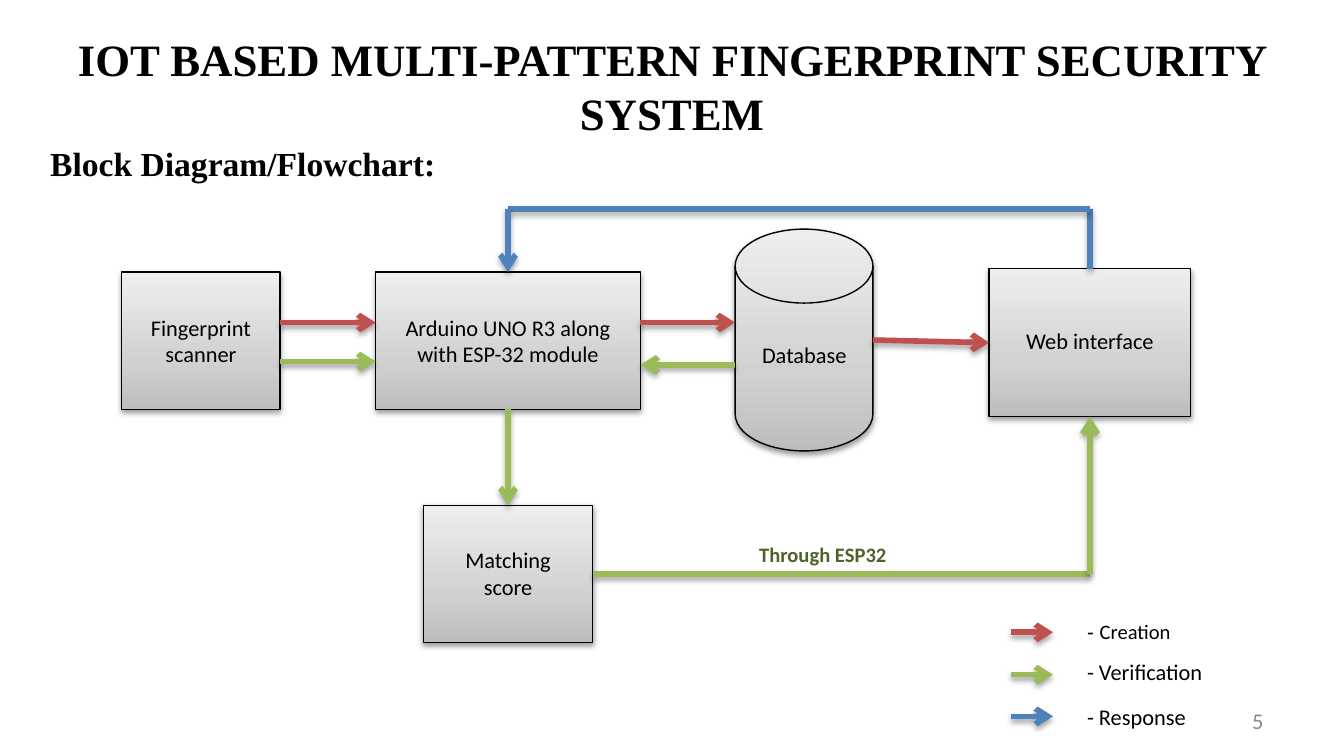
from copy import deepcopy
from lxml.etree import SubElement
from pptx import Presentation
from pptx.dml.color import RGBColor
from pptx.enum.shapes import MSO_CONNECTOR, MSO_SHAPE
from pptx.enum.text import MSO_ANCHOR, PP_ALIGN
from pptx.oxml.ns import qn
from pptx.util import Emu, Pt

RED, GREEN, BLUE, BLACK = "C0504D", "9BBB59", "4F81BD", "000000"
SERIF = "Times New Roman"
STOPS = [(0, "BDBDBD"), (0.35, "D1D1D1"), (1, "EEEEEE")]


def px(n):
    """Turn px, at 200 to the inch, into EMU."""
    return Emu(n * 4572)


def color(code):
    """Turn a hex string into a colour."""
    return RGBColor.from_string(code)


class Board:
    """Hold the style and the current slide."""

    def __init__(self, slide, font="Calibri", size=12):
        """Keep the slide with its default font and size."""
        self.shapes = slide.shapes
        self.font, self.size = font, size

    def shade(self, item, dist, alpha):
        """Give an item a soft shadow that falls straight down."""
        props = item._element.spPr
        effects = props.find(qn("a:effectLst"))
        if effects is None:
            effects = SubElement(props, qn("a:effectLst"))
        outer = SubElement(effects, qn("a:outerShdw"), blurRad=str(Pt(3.1)),
                           dist=str(Pt(dist)), dir="5400000", rotWithShape="0")
        tone = SubElement(outer, qn("a:srgbClr"), val=BLACK)
        SubElement(tone, qn("a:alpha"), val=str(alpha * 1000))

    def text(self, area, *runs, size=None, font=None, ink=BLACK, bold=False,
             align=PP_ALIGN.LEFT, anchor=MSO_ANCHOR.TOP):
        """Write one paragraph; a run is a string or a (string, font) pair."""
        frame = self.shapes.add_textbox(*map(px, area)).text_frame
        frame.word_wrap = True
        frame.vertical_anchor = anchor
        para = frame.paragraphs[0]
        para.alignment = align
        for part in runs:
            words, face = (part, font) if isinstance(part, str) else part
            run = para.add_run()
            run.text = words
            run.font.name = face or self.font
            run.font.size = Pt(size or self.size)
            run.font.bold = bold
            run.font.color.rgb = color(ink)

    def block(self, kind, area, words, label):
        """Draw a grey block with its centred label."""
        shape = self.shapes.add_shape(kind, *map(px, area))
        shape.shadow.inherit = False
        fill = shape.fill
        fill.gradient()
        fill.gradient_angle = 90
        stops = shape._element.spPr.find(qn("a:gradFill")).find(qn("a:gsLst"))
        stops.append(deepcopy(stops[0]))
        for stop, (place, code) in zip(fill.gradient_stops, STOPS):
            stop.position = place
            stop.color.rgb = color(code)
        shape.line.color.rgb = color(BLACK)
        shape.line.width = Pt(0.75)
        self.shade(shape, 1.6, 38)
        self.text(label, words, align=PP_ALIGN.CENTER)

    def route(self, code, *points):
        """Join points with lines, the last one ending in an arrowhead."""
        for start, end in zip(points, points[1:]):
            line = self.shapes.add_connector(
                MSO_CONNECTOR.STRAIGHT, *map(px, start + end))
            line.line.color.rgb = color(code)
            line.line.width = Pt(3)
            self.shade(line, 1.8, 35)
        SubElement(line.line._get_or_add_ln(), qn("a:tailEnd"), type="arrow")


def main():
    """Build the slide and save it."""
    deck = Presentation()
    deck.slide_width, deck.slide_height = px(2000), px(1125)
    board = Board(deck.slides.add_slide(deck.slide_layouts[6]))

    board.text((24, 38, 1952, 160),
               "IOT BASED MULTI-PATTERN FINGERPRINT SECURITY SYSTEM",
               size=24, font=SERIF, bold=True, align=PP_ALIGN.CENTER)
    board.text((55, 203, 1890, 80), "Block Diagram/Flowchart:",
               size=18, font=SERIF, bold=True)
    board.text((1434, 1043, 466, 60), "5", ink="898989",
               align=PP_ALIGN.RIGHT, anchor=MSO_ANCHOR.MIDDLE)

    rect, disk = MSO_SHAPE.RECTANGLE, MSO_SHAPE.FLOWCHART_MAGNETIC_DISK
    for kind, area, words, label in [
        (rect, (181, 405, 236, 204), "Fingerprint scanner",
         (197, 457, 204, 102)),
        (rect, (559, 405, 394, 204), "Arduino UNO R3 along with ESP-32 module",
         (575, 457, 362, 102)),
        (disk, (1094, 341, 205, 330), "Database", (1111, 498, 172, 60)),
        (rect, (1472, 400, 300, 220), "Web interface", (1488, 477, 268, 60)),
        (rect, (630, 752, 252, 204), "Matching score", (654, 803, 204, 102)),
    ]:
        board.block(kind, area, words, label)

    for code, *points in [
        (RED, (417, 480), (559, 480)),
        (RED, (953, 480), (1094, 480)),
        (RED, (1299, 506), (1472, 510)),
        (GREEN, (417, 538), (559, 538)),
        (GREEN, (1094, 543), (953, 543)),
        (GREEN, (756, 609), (756, 752)),
        (GREEN, (882, 854), (1622, 854), (1622, 620)),
        (BLUE, (1622, 400), (1622, 311), (756, 311), (756, 405)),
    ]:
        board.route(code, *points)
    board.text((1110, 796, 276, 58), "Through ESP32", size=11, ink="4F6228",
               bold=True)

    for code, y, top, size, runs in [
        (RED, 941, 912, 11, [("- ", "Arial"), "Creation"]),
        (GREEN, 1004, 970, 12, ["- Verification"]),
        (BLUE, 1066, 1037, 12, ["- Response"]),
    ]:
        board.route(code, (1504, y), (1567, y))
        board.text((1598, top, 252, 60), *runs, size=size)

    deck.save("out.pptx")


if __name__ == "__main__":
    main()
